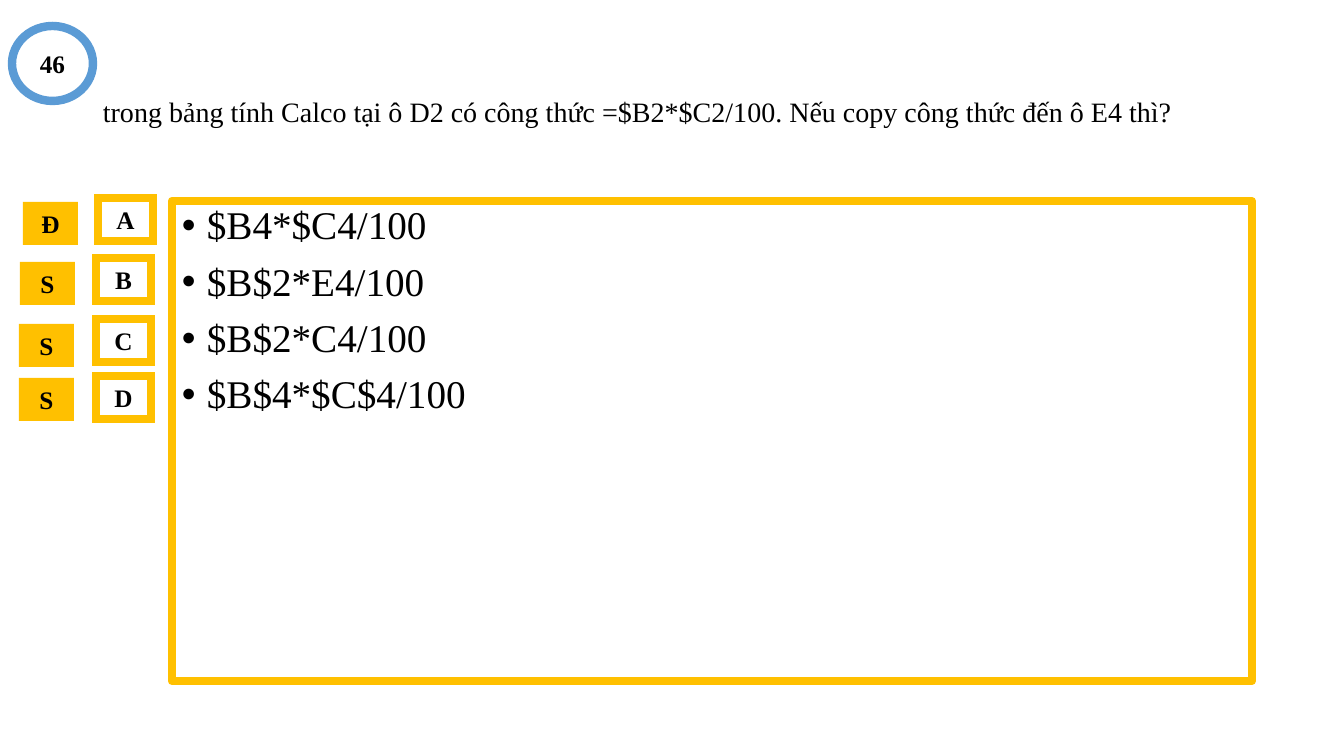
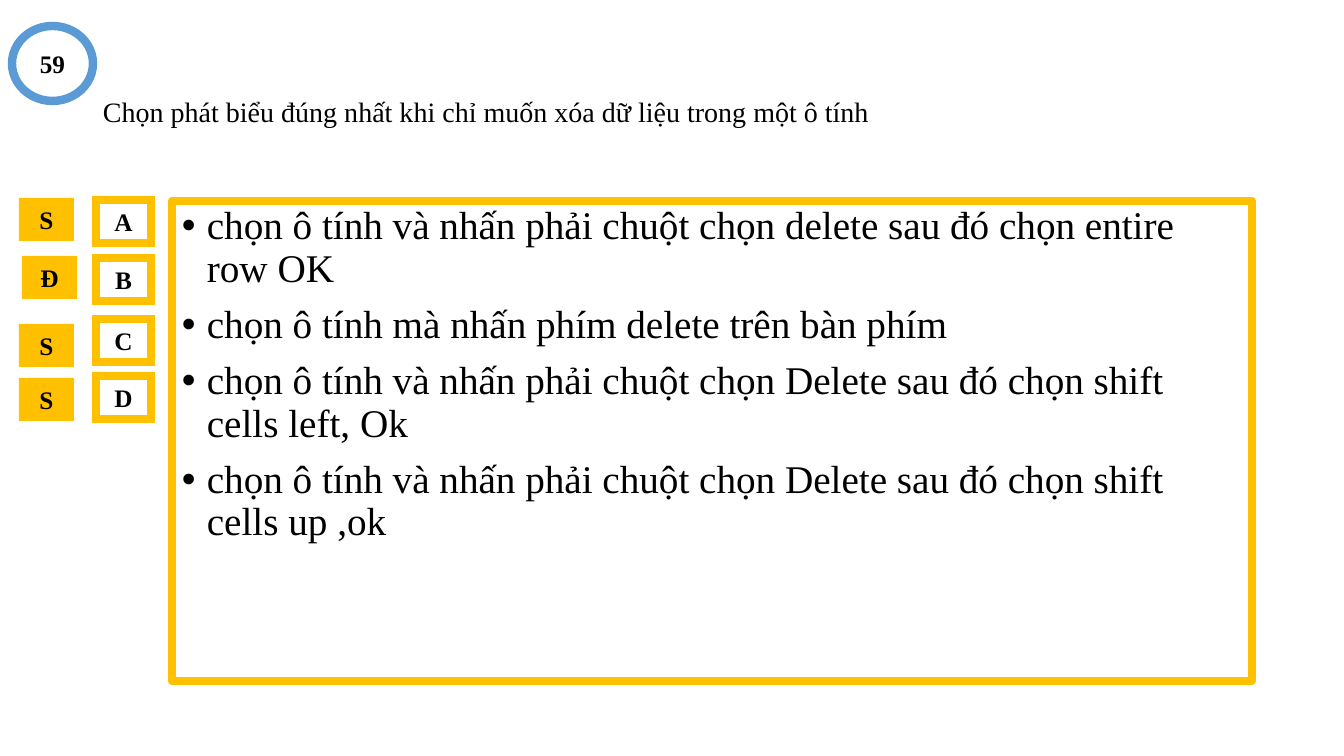
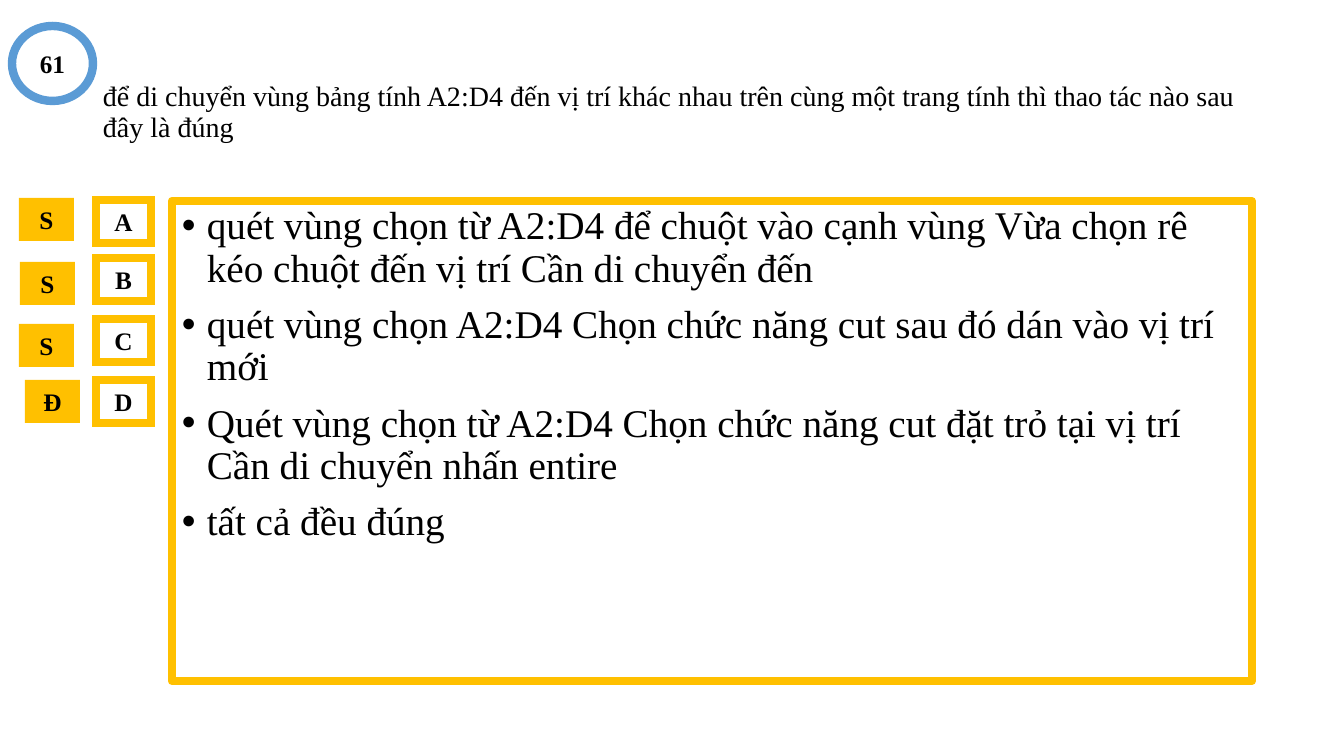
from lxml.etree import SubElement
from pptx import Presentation
from pptx.dml.color import RGBColor
from pptx.enum.shapes import MSO_SHAPE as Preset
from pptx.enum.text import MSO_ANCHOR as Anchor, PP_ALIGN as Align
from pptx.oxml.ns import qn
from pptx.util import Pt

EMU_PER_PX = 914400 / 100.8
AMBER, BLUE, WHITE, BLACK = "FFC000", "5B9BD5", "FFFFFF", "000000"

# Shared places of the letter boxes and of the right/wrong marks
LETTER_PLACES = {"A": (96, 200), "B": (96, 258), "C": (96, 319), "D": (96, 376)}
MARK_PLACES = {"A": (19, 198), "B": (20, 262), "C": (19, 324), "D": (19, 378)}
BOX_SIZE = (55, 43)

QUESTIONS = [
    {
        "number": "46",
        "question": "trong bảng tính Calco tại ô D2 có công thức =$B2*$C2/100. "
                    "Nếu copy công thức đến ô E4 thì?",
        "answers": ["$B4*$C4/100", "$B$2*E4/100", "$B$2*C4/100", "$B$4*$C$4/100"],
        "correct": "A",
        "moved_letters": {"A": (98, 198)},
        "moved_marks": {"A": (23, 202)},
    },
    {
        "number": "59",
        "question": "Chọn phát biểu đúng nhất khi chỉ muốn xóa dữ liệu trong một ô tính",
        "answers": [
            "chọn ô tính và nhấn phải chuột chọn delete sau đó chọn entire row OK",
            "chọn ô tính mà nhấn phím delete trên bàn phím",
            "chọn ô tính và nhấn phải chuột chọn Delete sau đó chọn shift cells left, Ok",
            "chọn ô tính và nhấn phải chuột chọn Delete sau đó chọn shift cells up ,ok",
        ],
        "correct": "B",
        "moved_letters": {},
        "moved_marks": {"B": (22, 256)},
    },
    {
        "number": "61",
        "question": "để di chuyển vùng bảng tính A2:D4 đến vị trí khác nhau trên cùng "
                    "một trang tính thì thao tác nào sau đây là đúng",
        "answers": [
            "quét vùng chọn từ A2:D4 để chuột vào cạnh vùng Vừa chọn rê kéo chuột "
            "đến vị trí Cần di chuyển đến",
            "quét vùng chọn A2:D4 Chọn chức năng cut sau đó dán vào vị trí mới",
            "Quét vùng chọn từ A2:D4 Chọn chức năng cut đặt trỏ tại vị trí Cần di "
            "chuyển nhấn entire",
            "tất cả đều đúng",
        ],
        "correct": "D",
        "moved_letters": {"D": (96, 380)},
        "moved_marks": {"D": (25, 380)},
    },
]


def px(length):
    return round(length * EMU_PER_PX)


def color(hex_text):
    return RGBColor.from_string(hex_text)


class QuizDeck:
    font_name = "Times New Roman"
    line_width = Pt(6)

    def __init__(self):
        self.presentation = Presentation()
        self.presentation.slide_width = px(1344)
        self.presentation.slide_height = px(756)
        self.slide = None

    def new_slide(self):
        self.slide = self.presentation.slides.add_slide(self.presentation.slide_layouts[6])

    # Style helpers
    def paint(self, shape, fill, opacity=100, line=None):
        shape.fill.solid()
        shape.fill.fore_color.rgb = color(fill)
        if opacity < 100:
            fill_color = shape.fill._xPr.find(qn("a:solidFill"))[0]
            SubElement(fill_color, qn("a:alpha"), val=str(opacity * 1000))
        if line:
            shape.line.color.rgb = color(line)
            shape.line.width = self.line_width
        else:
            shape.line.fill.background()

    def add_text(self, paragraph, text, size, bold=False, **layout):
        for name, value in layout.items():
            setattr(paragraph, name, value)
        run = paragraph.add_run()
        run.text = text
        style = {"name": self.font_name, "size": Pt(size), "bold": bold}
        for name, value in style.items():
            setattr(run.font, name, value)
        run.font.color.rgb = color(BLACK)

    def text_box(self, left, top, width, height, anchor, line=None):
        box = self.slide.shapes.add_textbox(px(left), px(top), px(width), px(height))
        self.paint(box, WHITE, 79, line)
        box.text_frame.word_wrap = True
        box.text_frame.vertical_anchor = anchor
        return box.text_frame

    # Slide elements
    def title(self, text):
        frame = self.text_box(93, 40, 1159, 146, Anchor.MIDDLE)
        self.add_text(frame.paragraphs[0], text, 20, line_spacing=0.9)

    def answer_list(self, answers):
        frame = self.text_box(172, 201, 1080, 480, Anchor.TOP, AMBER)
        for index, answer in enumerate(answers):
            paragraph = frame.add_paragraph() if index else frame.paragraphs[0]
            properties = paragraph._p.get_or_add_pPr()
            properties.set("marL", str(px(25)))
            properties.set("indent", str(-px(25)))
            SubElement(properties, qn("a:buFont"), typeface="Arial")
            SubElement(properties, qn("a:buChar"), char="•")
            self.add_text(paragraph, answer, 28, line_spacing=0.9,
                          space_before=Pt(10 if index else 0))

    def label(self, text, place, size=BOX_SIZE, preset=Preset.RECTANGLE, **paint):
        shape = self.slide.shapes.add_shape(preset, *map(px, place + size))
        shape.shadow.inherit = False
        self.paint(shape, **paint)
        if paint.get("line"):
            SubElement(shape.line._get_or_add_ln(), qn("a:miter"), lim="800000")
        frame = shape.text_frame
        frame.word_wrap = True
        frame.vertical_anchor = Anchor.MIDDLE
        self.add_text(frame.paragraphs[0], text, 18, True, alignment=Align.CENTER)

    def question_slide(self, number, question, answers, correct, moved_letters, moved_marks):
        self.new_slide()
        self.title(question)
        self.answer_list(answers)
        self.label(number, (12, 26), (81, 75), Preset.OVAL, fill=WHITE, line=BLUE)
        for letter, place in (LETTER_PLACES | moved_letters).items():
            self.label(letter, place, fill=WHITE, opacity=85, line=AMBER)
        for letter, place in (MARK_PLACES | moved_marks).items():
            self.label("Đ" if letter == correct else "S", place, fill=AMBER)


def main():
    deck = QuizDeck()
    for question in QUESTIONS:
        deck.question_slide(**question)
    deck.presentation.save("out.pptx")


if __name__ == "__main__":
    main()
